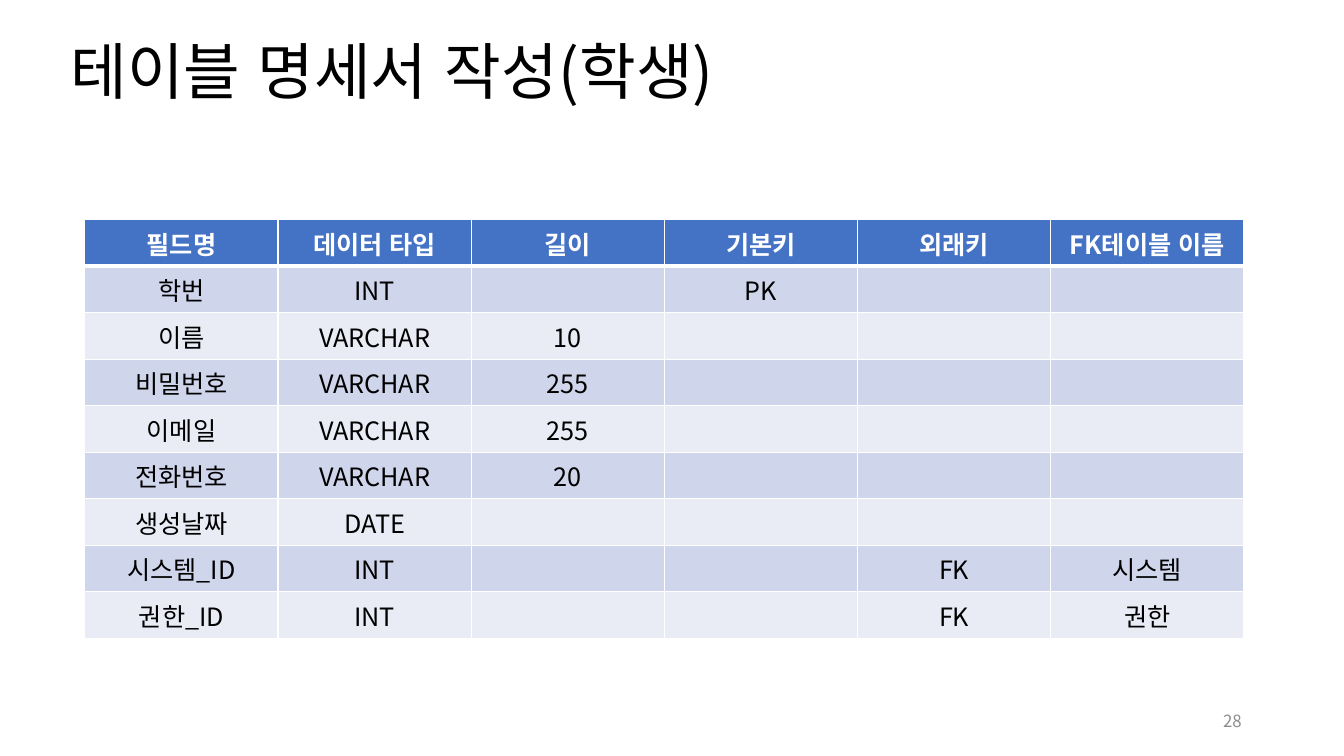
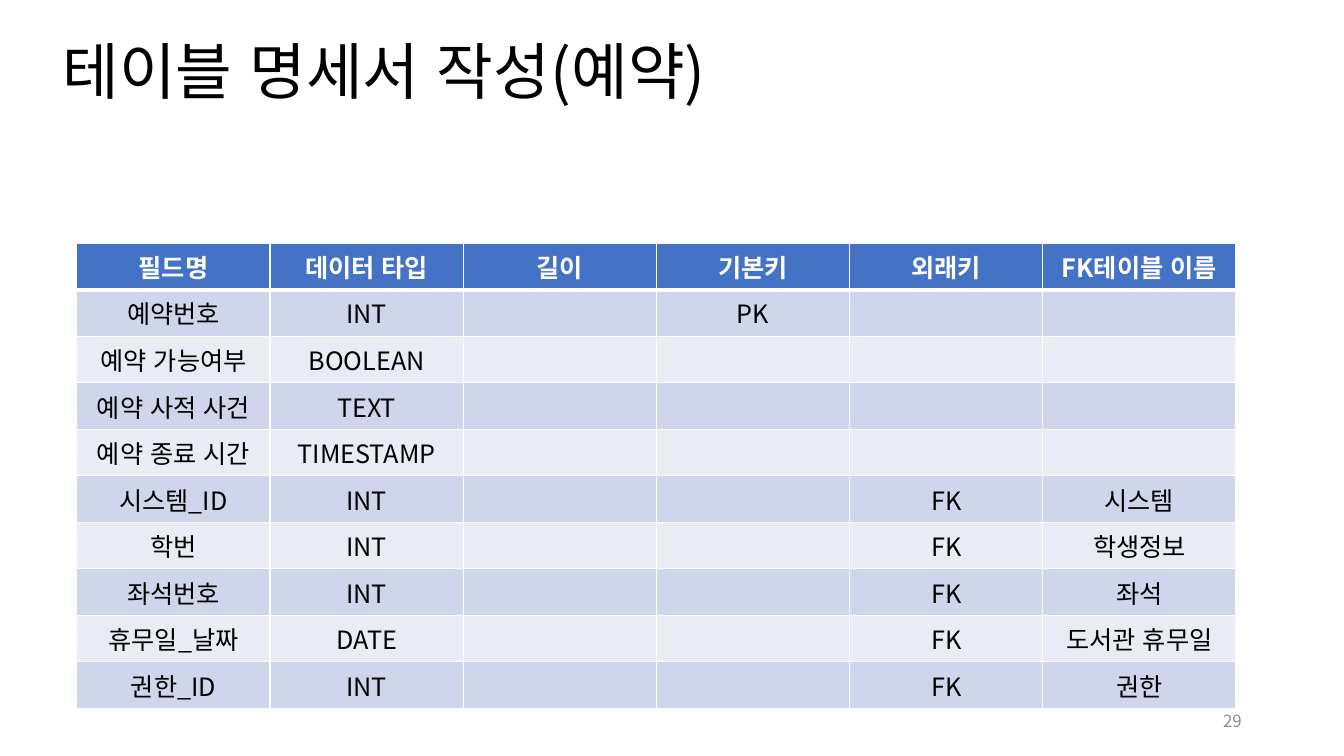
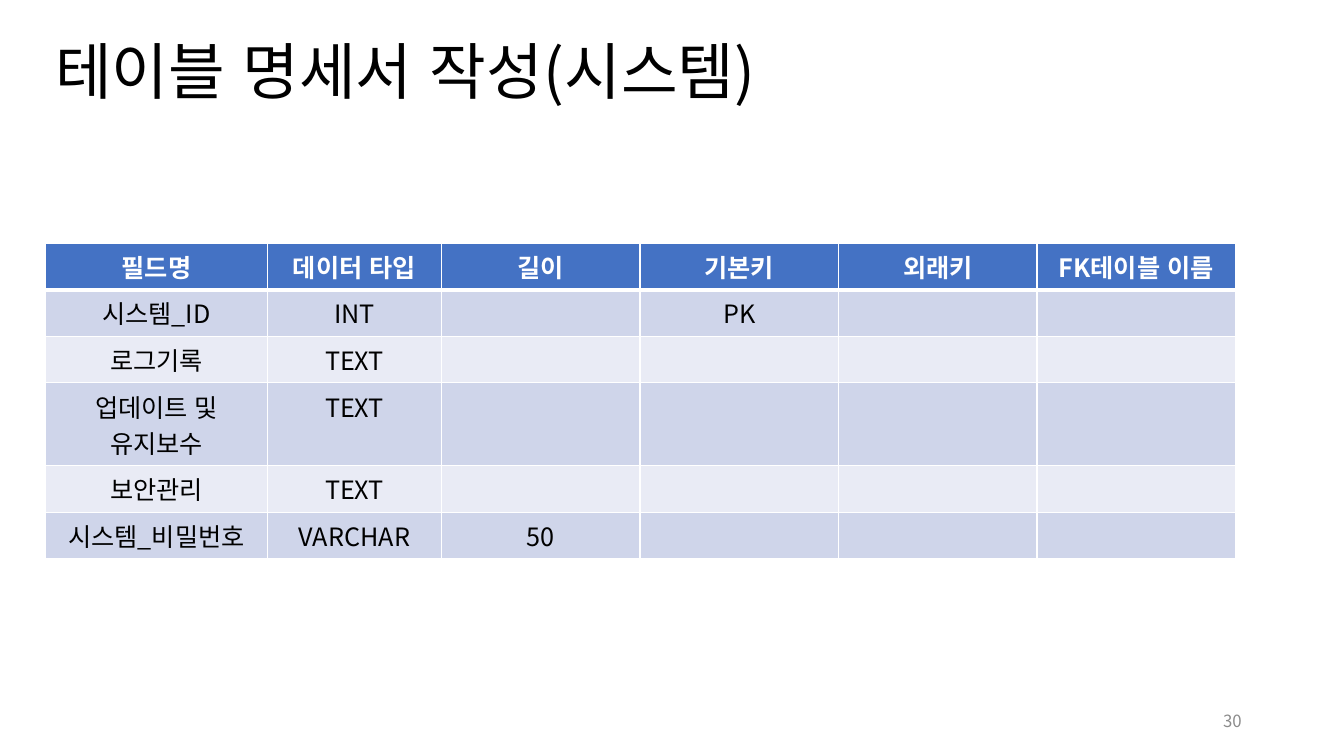
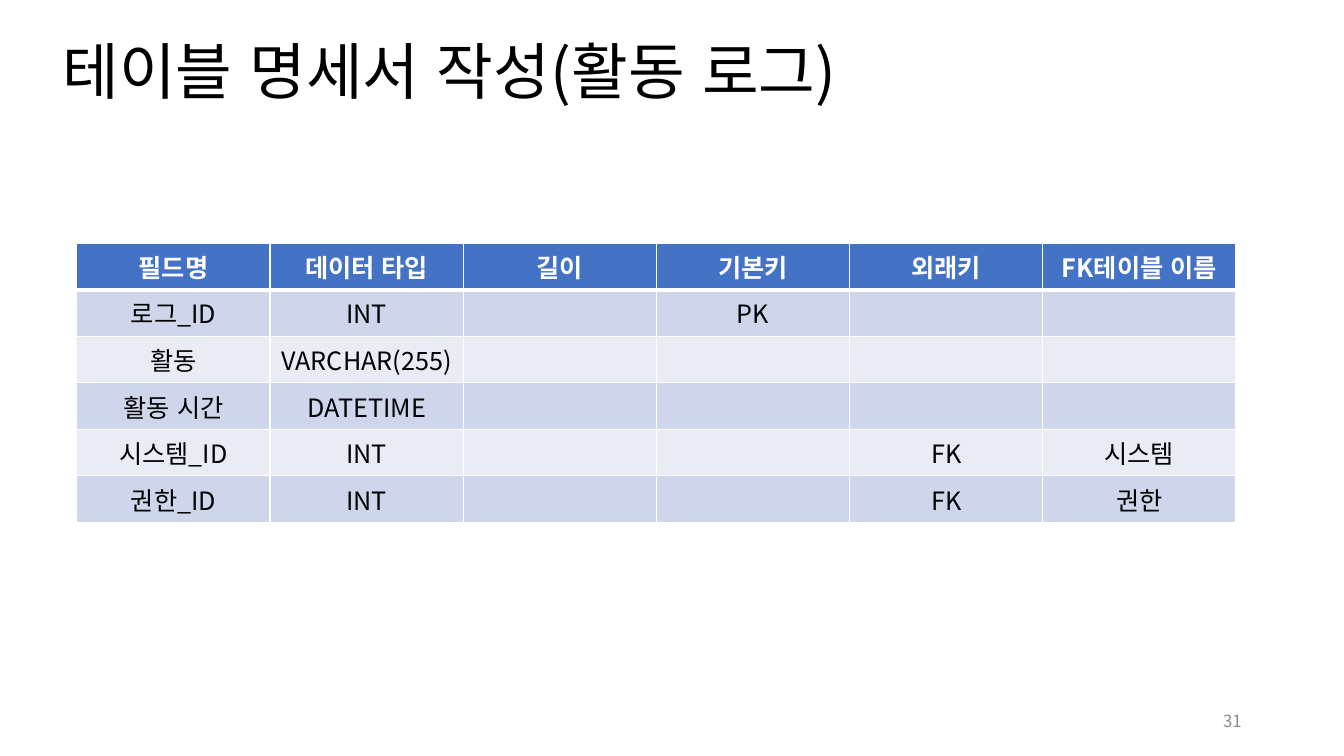
import pptx
import pptx.util
import pptx.dml.color
import pptx.enum.lang
import pptx.enum.text
import pptx.oxml
import pptx.oxml.ns

Pt = pptx.util.Pt
ALIGN = pptx.enum.text.PP_ALIGN
ANCHOR = pptx.enum.text.MSO_ANCHOR

FONT = "Noto Sans CJK SC"
COLORS = {
    "text": "000000",
    "white": "FFFFFF",
    "header": "4472C4",
    "odd": "CFD5EA",
    "even": "E9EBF5",
    "number": "8C8C8C",
}
HEADERS = ["필드명", "데이터 타입", "길이", "기본키", "외래키", "FK테이블 이름"]
ROW_HEIGHT = 33.25
TWO_LINE_HEIGHT = 59.25
EQUAL_WIDTHS = [138] * 6
FIRST_NUMBER = 28

TABLES = [
    {
        "title": "학생", "title_left": 43.2, "at": (60.6, 157), "widths": EQUAL_WIDTHS,
        "rows": [
            ["학번", "INT", "", "PK", "", ""],
            ["이름", "VARCHAR", "10", "", "", ""],
            ["비밀번호", "VARCHAR", "255", "", "", ""],
            ["이메일", "VARCHAR", "255", "", "", ""],
            ["전화번호", "VARCHAR", "20", "", "", ""],
            ["생성날짜", "DATE", "", "", "", ""],
            ["시스템_ID", "INT", "", "", "FK", "시스템"],
            ["권한_ID", "INT", "", "", "FK", "권한"],
        ],
    },
    {
        "title": "예약", "title_left": 37.5, "at": (54.9, 173.7), "widths": EQUAL_WIDTHS,
        "rows": [
            ["예약번호", "INT", "", "PK", "", ""],
            ["예약 가능여부", "BOOLEAN", "", "", "", ""],
            ["예약 사적 사건", "TEXT", "", "", "", ""],
            ["예약 종료 시간", "TIMESTAMP", "", "", "", ""],
            ["시스템_ID", "INT", "", "", "FK", "시스템"],
            ["학번", "INT", "", "", "FK", "학생정보"],
            ["좌석번호", "INT", "", "", "FK", "좌석"],
            ["휴무일_날짜", "DATE", "", "", "FK", "도서관 휴무일"],
            ["권한_ID", "INT", "", "", "FK", "권한"],
        ],
    },
    {
        "title": "시스템", "title_left": 32.4, "at": (32.6, 173.7),
        "widths": [158.4, 124.4] + [141.8] * 4, "two_line_rows": [3],
        "rows": [
            ["시스템_ID", "INT", "", "PK", "", ""],
            ["로그기록", "TEXT", "", "", "", ""],
            ["업데이트 및 유지보수", "TEXT", "", "", "", ""],
            ["보안관리", "TEXT", "", "", "", ""],
            ["시스템_비밀번호", "VARCHAR", "50", "", "", ""],
        ],
    },
    {
        "title": "활동 로그", "title_left": 37.5, "at": (54.9, 173.7), "widths": EQUAL_WIDTHS,
        "rows": [
            ["로그_ID", "INT", "", "PK", "", ""],
            ["활동", "VARCHAR(255)", "", "", "", ""],
            ["활동 시간", "DATETIME", "", "", "", ""],
            ["시스템_ID", "INT", "", "", "FK", "시스템"],
            ["권한_ID", "INT", "", "", "FK", "권한"],
        ],
    },
]


def rgb(name):
    return pptx.dml.color.RGBColor.from_string(COLORS[name])


def write(tf, text, size=18, color="text", bold=False, align=ALIGN.LEFT, spacing=None):
    p = tf.paragraphs[0]
    p.alignment = align
    p.line_spacing = spacing
    r = p.add_run()
    r.text = text
    r.font.size = Pt(size)
    r.font.bold = bold
    r.font.name = FONT
    r.font.language_id = pptx.enum.lang.MSO_LANGUAGE_ID.KOREAN
    r.font.color.rgb = rgb(color)


def add_text(s, box, text, anchor=ANCHOR.TOP, **fmt):
    tf = s.shapes.add_textbox(*map(Pt, box)).text_frame
    tf.word_wrap = True
    tf.vertical_anchor = anchor
    write(tf, text, **fmt)


def set_borders(cell, top=1, bottom=1):
    tcPr = cell._tc.get_or_add_tcPr()
    sides = {"L": 1, "R": 1, "T": top, "B": bottom}
    for i, (side, width) in enumerate(sides.items()):
        tcPr.insert(i, pptx.oxml.parse_xml(
            f'<a:ln{side} {pptx.oxml.ns.nsdecls("a")} w="{Pt(width)}">'
            f'<a:solidFill><a:srgbClr val="{COLORS["white"]}"/></a:solidFill></a:ln{side}>'))


def add_field_table(s, at, widths, rows, two_line_rows):
    cells = [HEADERS] + rows
    heights = [TWO_LINE_HEIGHT if i in two_line_rows else ROW_HEIGHT
               for i in range(len(cells))]
    size = (sum(widths), sum(heights))
    table = s.shapes.add_table(len(cells), len(widths), *map(Pt, at + size)).table
    for column, width in zip(table.columns, widths):
        column.width = Pt(width)
    for i, texts in enumerate(cells):
        table.rows[i].height = Pt(heights[i])
        header = i == 0
        fill = "header" if header else "odd" if i % 2 else "even"
        for j, text in enumerate(texts):
            cell = table.cell(i, j)
            cell.fill.solid()
            cell.fill.fore_color.rgb = rgb(fill)
            set_borders(cell, top=3 if i == 1 else 1, bottom=3 if header else 1)
            if text:
                write(cell.text_frame, text, color="white" if header else "text",
                      bold=header, align=ALIGN.CENTER)


def add_table_slide(prs, number, title, title_left, at, widths, rows, two_line_rows=()):
    s = prs.slides.add_slide(prs.slide_layouts[6])
    add_text(s, (title_left, 26, 828, 104.4), f"테이블 명세서 작성({title})",
             size=44, spacing=0.9)
    add_field_table(s, at, widths, rows, two_line_rows)
    add_text(s, (678, 500.5, 216, 28.8), str(number), anchor=ANCHOR.MIDDLE,
             size=12, color="number", align=ALIGN.RIGHT)


def main():
    prs = pptx.Presentation()
    prs.slide_width, prs.slide_height = Pt(960), Pt(540)
    for number, table in enumerate(TABLES, FIRST_NUMBER):
        add_table_slide(prs, number, **table)
    prs.save("out.pptx")


if __name__ == "__main__":
    main()
